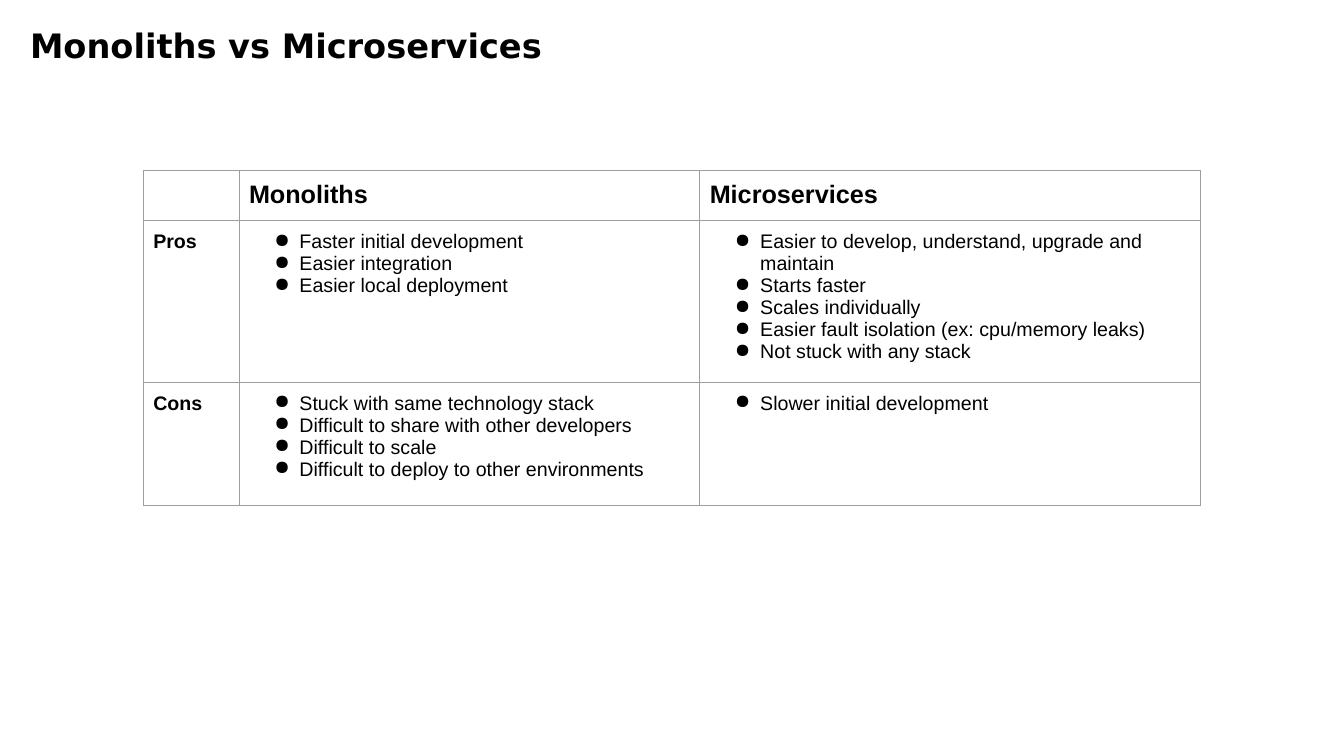
from lxml import etree
from pptx import Presentation
from pptx.dml.color import RGBColor
from pptx.enum import text
from pptx.oxml import ns
from pptx.util import Inches, Pt

COLORS = {"ink": "000000", "paper": "FFFFFF", "grid": "9E9E9E"}
TITLE_FONT, BODY_FONT = "DejaVu Sans", "Arial"
HEADER_SIZE, BODY_SIZE = 18, 14
COLUMN_WIDTHS = [0.95, 4.57, 4.97]
ROW_HEIGHTS = [0.49, 1.51, 1.22]

APPROACHES = ["Monoliths", "Microservices"]
COMPARISON = {
    "Pros": [
        ["Faster initial development", "Easier integration", "Easier local deployment"],
        ["Easier to develop, understand, upgrade and maintain", "Starts faster",
         "Scales individually", "Easier fault isolation (ex: cpu/memory leaks)",
         "Not stuck with any stack"],
    ],
    "Cons": [
        ["Stuck with same technology stack", "Difficult to share with other developers",
         "Difficult to scale", "Difficult to deploy to other environments"],
        ["Slower initial development"],
    ],
}


def add_run(paragraph, words, size, font=BODY_FONT, bold=False):
    run = paragraph.add_run()
    run.text = words
    run.font.name = font
    run.font.size = Pt(size)
    run.font.bold = bold
    run.font.color.rgb = RGBColor.from_string(COLORS["ink"])


def add_bullet(paragraph):
    properties = paragraph._p.get_or_add_pPr()
    properties.set("marL", str(Inches(0.5)))
    properties.set("indent", str(Inches(-0.25)))
    etree.SubElement(properties, ns.qn("a:buChar"), char="●")


def add_title(slide, words):
    title = slide.shapes.add_textbox(Inches(0.2), Inches(0.2), Inches(12.9), Inches(6.58))
    frame = title.text_frame
    frame.word_wrap = True
    frame.vertical_anchor = text.MSO_ANCHOR.TOP
    add_run(frame.paragraphs[0], words, 24, TITLE_FONT, bold=True)


def style_cell(cell):
    cell.margin_left = cell.margin_right = Inches(0.1)
    cell.margin_top = cell.margin_bottom = Inches(0.1)
    cell.vertical_anchor = text.MSO_ANCHOR.TOP
    properties = cell._tc.get_or_add_tcPr()
    # Borders come before the fill in the cell properties
    for side in ("lnL", "lnR", "lnT", "lnB"):
        border = etree.SubElement(properties, ns.qn(f"a:{side}"), w=str(Pt(0.75)))
        solid = etree.SubElement(border, ns.qn("a:solidFill"))
        etree.SubElement(solid, ns.qn("a:srgbClr"), val=COLORS["grid"])
    cell.fill.solid()
    cell.fill.fore_color.rgb = RGBColor.from_string(COLORS["paper"])


def fill_label(cell, words, size):
    add_run(cell.text_frame.paragraphs[0], words, size, bold=True)


def fill_points(cell, points):
    frame = cell.text_frame
    for index, point in enumerate(points):
        paragraph = frame.add_paragraph() if index else frame.paragraphs[0]
        add_bullet(paragraph)
        add_run(paragraph, point, BODY_SIZE)


def add_comparison(slide):
    frame = slide.shapes.add_table(
        len(ROW_HEIGHTS), len(COLUMN_WIDTHS), Inches(1.42), Inches(1.69),
        Inches(sum(COLUMN_WIDTHS)), Inches(sum(ROW_HEIGHTS)))
    table = frame.table
    table.first_row = table.horz_banding = False
    for column, width in zip(table.columns, COLUMN_WIDTHS):
        column.width = Inches(width)
    for row, height in zip(table.rows, ROW_HEIGHTS):
        row.height = Inches(height)
    for cell in table.iter_cells():
        style_cell(cell)

    # Header row
    for column, approach in enumerate(APPROACHES, 1):
        fill_label(table.cell(0, column), approach, HEADER_SIZE)

    # Pros and cons rows
    for row, (label, point_lists) in enumerate(COMPARISON.items(), 1):
        fill_label(table.cell(row, 0), label, BODY_SIZE)
        for column, points in enumerate(point_lists, 1):
            fill_points(table.cell(row, column), points)


def main():
    deck = Presentation()
    deck.slide_width, deck.slide_height = Inches(13.33), Inches(7.5)
    slide = deck.slides.add_slide(deck.slide_layouts[6])
    add_title(slide, "Monoliths vs Microservices")
    add_comparison(slide)
    deck.save("out.pptx")


if __name__ == "__main__":
    main()
